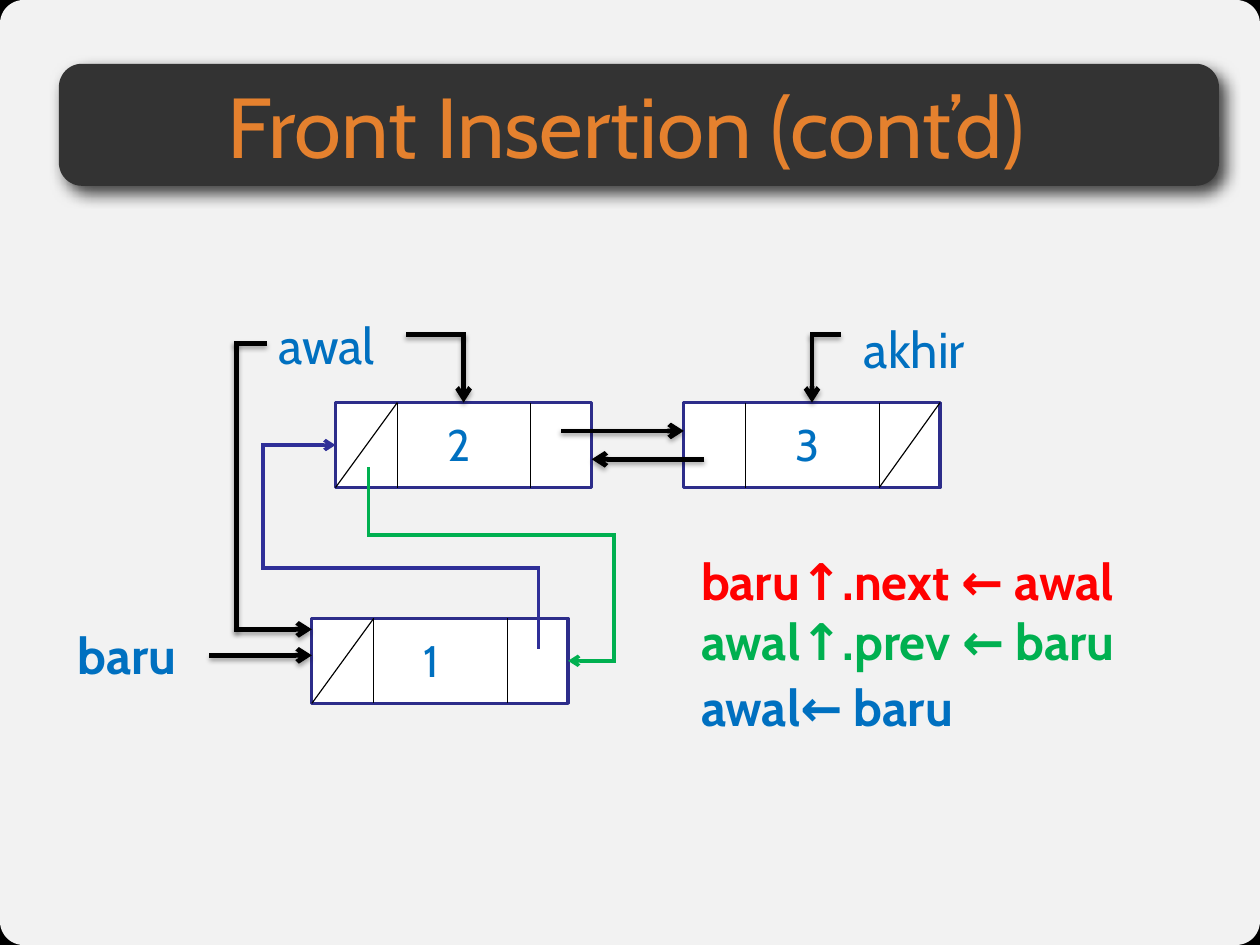
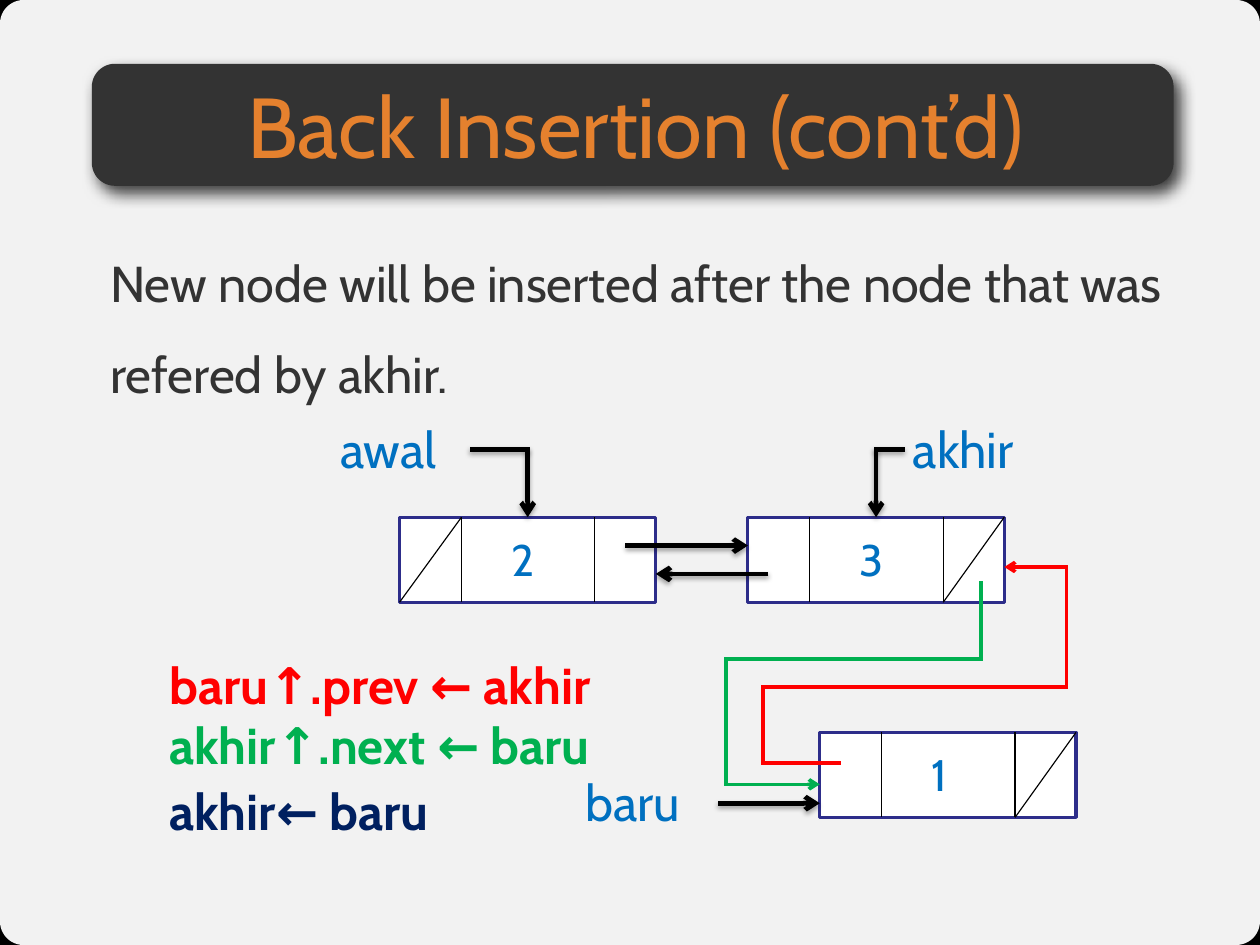
from dataclasses import dataclass
from itertools import pairwise

from lxml.etree import SubElement
from pptx import Presentation
from pptx.dml.color import RGBColor
from pptx.enum.shapes import MSO_CONNECTOR as Link, MSO_SHAPE as Preset
from pptx.enum.text import MSO_ANCHOR as Anchor, PP_ALIGN as Align
from pptx.oxml.ns import qn
from pptx.util import Pt


@dataclass(frozen=True)
class Theme:
    font: str = "Cabin"
    backdrop: str = "000000"
    white: str = "FFFFFF"
    band: str = "333333"
    title: str = "E5812E"
    body: str = "333333"
    label: str = "0070C0"
    navy: str = "002060"
    red: str = "FF0000"
    green: str = "00B050"
    black: str = "000000"
    node_edge: str = "2D2D8A"
    next_link: str = "2F2F98"
    title_size: float = 54
    text_size: float = 32
    number_size: float = 28
    hairline: float = 0.75
    edge: float = 2
    link: float = 2.25
    pointer: float = 3
    band_shadow: tuple = (75, 10, 6, 51)
    pointer_shadow: tuple = (35, 3.1, 1.8, 90)


@dataclass(frozen=True)
class Box:
    x: float
    y: float
    w: float
    h: float

    def point(self, dx, dy):
        return self.x + dx, self.y + dy

    def inner(self, dx, dy, w, h):
        return Box(self.x + dx, self.y + dy, w, h)

    def lengths(self):
        return Pt(self.x), Pt(self.y), Pt(self.w), Pt(self.h)


THEME = Theme()
PAGE = Box(0, 0, 800, 600)
NODE_W, NODE_H = 162.7, 54
PREV_EDGE, NEXT_EDGE = 39.3, 124
NODE_PITCH = 221.2
TOP, LEFT, RIGHT = 0, 1, 3


def rgb(color):
    return RGBColor.from_string(color)


def add_shadow(effects, shadow):
    opacity, blur, distance, angle = shadow
    outer = SubElement(effects, qn("a:outerShdw"), blurRad=str(Pt(blur)),
                       dist=str(Pt(distance)), dir=str(angle * 60000),
                       algn="ctr", rotWithShape="0")
    tint = SubElement(outer, qn("a:srgbClr"), val=THEME.black)
    SubElement(tint, qn("a:alpha"), val=str(opacity * 1000))


def add_panel(slide, box, preset, fill, edge=None):
    panel = slide.shapes.add_shape(preset, *box.lengths())
    panel.shadow.inherit = False
    panel.fill.solid()
    panel.fill.fore_color.rgb = rgb(fill)
    if edge:
        panel.line.color.rgb = rgb(edge)
        panel.line.width = Pt(THEME.edge)
    else:
        panel.line.fill.background()
    return panel


def add_text(slide, box, text, size, color, bold=False, inset=True):
    frame = slide.shapes.add_textbox(*box.lengths()).text_frame
    frame.word_wrap = True
    if not inset:
        frame.margin_left = frame.margin_right = 0
        frame.margin_top = frame.margin_bottom = 0
    run = frame.paragraphs[0].add_run()
    run.text = text
    run.font.name = THEME.font
    run.font.size = Pt(size)
    run.font.bold = bold
    run.font.color.rgb = rgb(color)
    return frame


def add_segment(slide, start, end, color, width, shadow=None):
    segment = slide.shapes.add_connector(
        Link.STRAIGHT, *(Pt(value) for value in (*start, *end)))
    segment.line.color.rgb = rgb(color)
    segment.line.width = Pt(width)
    effects = SubElement(segment.element.spPr, qn("a:effectLst"))
    if shadow:
        add_shadow(effects, shadow)
    return segment


def add_route(slide, points, color, width, shadow=None, target=None):
    segments = [add_segment(slide, start, end, color, width, shadow)
                for start, end in pairwise(points)]
    *bends, last = segments
    for bend in bends:
        bend.line._get_or_add_ln().set("cap", "sq")
    SubElement(last.line._get_or_add_ln(), qn("a:tailEnd"), type="arrow")
    if target:
        last.end_connect(*target)


def add_pointer(slide, points, target=None):
    add_route(slide, points, THEME.black, THEME.pointer,
              THEME.pointer_shadow, target)


def add_label(slide, box, dx, dy, text, bold=False):
    add_text(slide, box.inner(dx, dy, 90.7, 46), text,
             THEME.text_size, THEME.label, bold)


def add_node(slide, box, number, null_side):
    cell = add_panel(slide, box, Preset.RECTANGLE, THEME.white, THEME.node_edge)
    slashes = {"prev": (PREV_EDGE, 0), "next": (NODE_W, NEXT_EDGE)}
    upper, lower = slashes[null_side]
    for top_x, bottom_x in ((PREV_EDGE, PREV_EDGE), (NEXT_EDGE, NEXT_EDGE),
                            (upper, lower)):
        add_segment(slide, box.point(top_x, 0), box.point(bottom_x, NODE_H),
                    THEME.black, THEME.hairline)
    add_text(slide, box.inner(64, 5.8, 45.4, 41), number,
             THEME.number_size, THEME.label)
    return cell


def add_node_pair(slide, box):
    first_box = box.inner(0, 0, NODE_W, NODE_H)
    last_box = box.inner(NODE_PITCH, 0, NODE_W, NODE_H)
    first = add_node(slide, first_box, "2", "prev")
    last = add_node(slide, last_box, "3", "next")
    middle = NODE_W / 2
    for node_box, node, start_x in ((first_box, first, 46), (last_box, last, 98)):
        add_pointer(slide, [node_box.point(start_x, -43.2),
                            node_box.point(middle, -43.2),
                            node_box.point(middle, 0)], (node, TOP))
    add_pointer(slide, [first_box.point(143.3, 18), last_box.point(0, 18)])
    add_pointer(slide, [last_box.point(13, 36), first_box.point(NODE_W, 36)])
    return first, last


def add_statements(slide, box, statements):
    for dy, (text, color) in zip((0, 38, 80), statements):
        add_text(slide, box.inner(0, dy, box.w, 46), text,
                 THEME.text_size, color, bold=True)


def add_title(slide, band_box, text_box, text):
    band = add_panel(slide, band_box, Preset.ROUNDED_RECTANGLE, THEME.band)
    band.adjustments[0] = 0.19
    add_shadow(band.element.spPr.find(qn("a:effectLst")), THEME.band_shadow)
    frame = add_text(slide, text_box, text, THEME.title_size, THEME.title,
                     inset=False)
    frame.vertical_anchor = Anchor.MIDDLE
    frame.paragraphs[0].alignment = Align.CENTER


def add_page(deck):
    slide = deck.slides.add_slide(deck.slide_layouts[6])
    backdrop = slide.background.fill
    backdrop.solid()
    backdrop.fore_color.rgb = rgb(THEME.backdrop)
    sheet = add_panel(slide, PAGE, Preset.ROUNDED_RECTANGLE, THEME.white)
    sheet.adjustments[0] = 0.025
    tint = sheet.element.spPr.find(qn("a:solidFill"))[0]
    SubElement(tint, qn("a:alpha"), val="95000")
    return slide


def draw_front_insertion(slide, box):
    first, _ = add_node_pair(slide, box.inner(173, 60, 384, NODE_H))
    new = add_node(slide, box.inner(158, 197, NODE_W, NODE_H), "1", "prev")
    add_label(slide, box, 130, 0, "awal")
    add_label(slide, box, 501.5, 2.5, "akhir")
    add_label(slide, box, 2, 197, "baru", bold=True)
    add_pointer(slide, [box.point(93, 220.5), box.point(158, 220.5)])
    add_pointer(slide, [box.point(128, 22.5), box.point(110, 22.5),
                        box.point(110, 204), box.point(158, 204)])
    add_route(slide, [box.point(302, 215.5), box.point(302, 165),
                      box.point(127, 165), box.point(127, 87),
                      box.point(173, 87)],
              THEME.next_link, THEME.link, target=(first, LEFT))
    add_route(slide, [box.point(194, 102), box.point(194, 144),
                      box.point(350, 144), box.point(350, 224),
                      box.point(320.7, 224)],
              THEME.green, THEME.link, target=(new, RIGHT))
    add_statements(slide, box.inner(398, 150, 300, 126), [
        ("baru↑.next ← awal", THEME.red),
        ("awal↑.prev ← baru", THEME.green),
        ("awal← baru", THEME.label)])


def draw_back_insertion(slide, box):
    add_node_pair(slide, box.inner(153.7, 66.4, 384, NODE_H))
    add_node(slide, box.inner(420.5, 203, NODE_W, NODE_H), "1", "next")
    add_label(slide, box, 109, 0, "awal")
    add_label(slide, box, 472.5, 0, "akhir")
    add_label(slide, box, 264.5, 224, "baru")
    add_pointer(slide, [box.point(356, 248), box.point(420.5, 248)])
    add_route(slide, [box.point(523, 108), box.point(523, 156.3),
                      box.point(361, 156.3), box.point(361, 236),
                      box.point(420.5, 236)], THEME.green, THEME.link)
    add_route(slide, [box.point(433, 222.3), box.point(384.5, 222.3),
                      box.point(384.5, 174.3), box.point(577, 174.3),
                      box.point(577, 98), box.point(537.7, 98)],
              THEME.red, THEME.link)
    add_statements(slide, box.inner(0.5, 150, 330, 126), [
        ("baru↑.prev ← akhir", THEME.red),
        ("akhir↑.next ← baru", THEME.green),
        ("akhir← baru", THEME.navy)])


def add_front_slide(deck):
    slide = add_page(deck)
    add_title(slide, Box(37.4, 40.5, 736.6, 77.5), Box(37.4, 43.2, 720.7, 72),
              "Front Insertion (cont’d)")
    draw_front_insertion(slide, Box(40, 195.6, 700, 276))


def add_back_slide(deck):
    slide = add_page(deck)
    body = add_text(slide, Box(70, 141, 688.3, 402.5),
                    "New node will be inserted after the node that was "
                    "refered by akhir.", THEME.text_size, THEME.body, inset=False)
    body.paragraphs[0].line_spacing = 1.5
    add_title(slide, Box(58.3, 40.5, 686.9, 77.5), Box(49, 43.2, 708.5, 72),
              "Back Insertion (cont’d)")
    draw_back_insertion(slide, Box(100, 262, 584, 276))


def main():
    deck = Presentation()
    deck.slide_width, deck.slide_height = Pt(PAGE.w), Pt(PAGE.h)
    add_front_slide(deck)
    add_back_slide(deck)
    deck.save("out.pptx")


if __name__ == "__main__":
    main()
